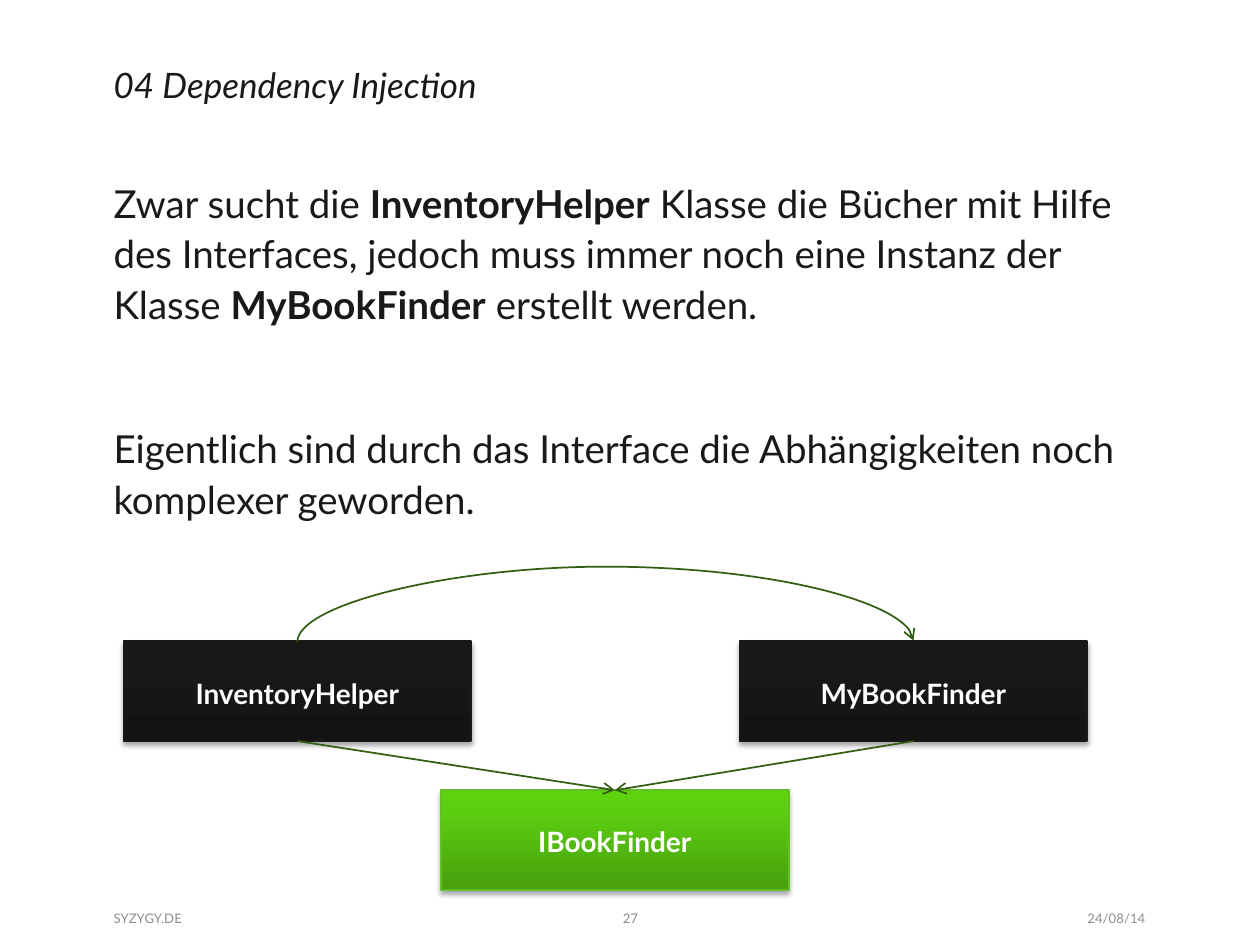
from copy import deepcopy

from lxml import etree
from pptx import Presentation
from pptx import util as u
from pptx.dml.color import RGBColor
from pptx.enum import shapes, text
from pptx.oxml import parse_xml
from pptx.oxml.ns import nsdecls, qn

FONT = "Lato"
COLORS = {
    "ink": "191919", "muted": "8C8C8C", "white": "FFFFFF",
    "arrow": "325F14", "green_line": "64BE28",
}
GRADIENTS = {
    "black": [(0, "131313"), (0.8, "181818"), (1, "181818")],
    "green": [(0, "479F0D"), (0.8, "5DCE11"), (1, "5CD30D")],
}
LEFT, CENTER, RIGHT = text.PP_ALIGN.LEFT, text.PP_ALIGN.CENTER, text.PP_ALIGN.RIGHT
TOP_SITE, BOTTOM_SITE = 0, 2

# Content: a paragraph is a list of (text, bold) runs
TITLE = [[("04 Dependency Injection", False)]]
BODY = [
    [("Zwar sucht die ", False), ("InventoryHelper", True),
     (" Klasse die Bücher mit Hilfe des Interfaces, jedoch muss immer noch "
      "eine Instanz der Klasse ", False),
     ("MyBookFinder", True), (" erstellt werden.", False)],
    [("Eigentlich sind durch das Interface die Abhängigkeiten noch "
      "komplexer geworden.", False)],
]
FOOTER = [  # text, left, width, alignment
    ("SYZYGY.DE", 2.29, 4.24, LEFT),
    ("27", 11.91, 1.6, CENTER),
    ("24/08/14", 19.1, 3.99, RIGHT),
]
BOX_WIDTH, BOX_HEIGHT = 7.01, 2.01
BOXES = [  # name, left, top, gradient, line colour
    ("InventoryHelper", 2.49, 12.93, "black", "ink"),
    ("MyBookFinder", 14.91, 12.93, "black", "ink"),
    ("IBookFinder", 8.89, 15.93, "green", "green_line"),
]
STRAIGHT_ARROWS = [("InventoryHelper", "IBookFinder"), ("MyBookFinder", "IBookFinder")]
ARCH_HEIGHT, ARCH_DEPTH = 1.52, 0.03


def rgb(name):
    return RGBColor.from_string(COLORS[name])


def write(frame, paragraphs, size=22, color="ink", align=LEFT, spacing=1.0,
          gap=0, italic=False, anchor=text.MSO_ANCHOR.TOP):
    frame.word_wrap = True
    frame.vertical_anchor = anchor
    for index, runs in enumerate(paragraphs):
        paragraph = frame.add_paragraph() if index else frame.paragraphs[0]
        paragraph.alignment = align
        paragraph.line_spacing = spacing
        if index:
            paragraph.space_before = u.Pt(gap)
        for words, bold in runs:
            run = paragraph.add_run()
            run.text = words
            run.font.name, run.font.size = FONT, u.Pt(size)
            run.font.bold, run.font.italic = bold, italic
            run.font.color.rgb = rgb(color)


def add_text(slide, paragraphs, left, top, width, height, **style):
    frame = slide.shapes.add_textbox(*map(u.Cm, (left, top, width, height))).text_frame
    frame.margin_left = frame.margin_right = frame.margin_top = frame.margin_bottom = 0
    write(frame, paragraphs, **style)


def fill_gradient(shape, stops):
    shape.fill.gradient()
    shape.fill.gradient_angle = 90
    first = shape.fill.gradient_stops[0]
    stop_list = shape._element.spPr.find(".//" + qn("a:gsLst"))
    stop_list.insert(1, deepcopy(stop_list[0]))
    for stop, (position, color) in zip(shape.fill.gradient_stops, stops):
        stop.position = position
        stop.color.rgb = RGBColor.from_string(color)


def add_box(slide, name, left, top, gradient, line):
    box = slide.shapes.add_shape(shapes.MSO_SHAPE.FLOWCHART_PROCESS,
                                 *map(u.Cm, (left, top, BOX_WIDTH, BOX_HEIGHT)))
    fill_gradient(box, GRADIENTS[gradient])
    box.line.color.rgb, box.line.width = rgb(line), u.Pt(1)
    box._element.spPr.append(parse_xml(
        f'<a:effectLst {nsdecls("a")}><a:outerShdw blurRad="39370" dist="22860" '
        'dir="5400000" rotWithShape="0"><a:srgbClr val="000000">'
        '<a:alpha val="35000"/></a:srgbClr></a:outerShdw></a:effectLst>'))
    write(box.text_frame, [[(name, True)]], size=16, color="white", align=CENTER,
          spacing=1.1, anchor=text.MSO_ANCHOR.MIDDLE)
    return box


def add_arrow(slide, kind, start, start_site, end, end_site):
    arrow = slide.shapes.add_connector(kind, 0, 0, 0, 0)
    arrow.begin_connect(start, start_site)
    arrow.end_connect(end, end_site)
    arrow.line.color.rgb, arrow.line.width = rgb("arrow"), u.Pt(1)
    etree.SubElement(arrow.line._get_or_add_ln(), qn("a:tailEnd"), type="arrow")
    etree.SubElement(arrow._element.spPr, qn("a:effectLst"))
    return arrow


def bend_into_arch(arrow):
    # The connector is a thin upright shape turned by 90 degrees
    span, depth = arrow.width, u.Cm(ARCH_DEPTH)
    center_x, center_y = arrow.left + span // 2, arrow.top
    arrow.left, arrow.top = center_x - depth // 2, center_y - span // 2
    arrow.width, arrow.height = depth, span
    properties = arrow._element.spPr
    for key, value in (("rot", "5400000"), ("flipH", "1"), ("flipV", "1")):
        properties.find(qn("a:xfrm")).set(key, value)
    adjust = properties.find(qn("a:prstGeom")).get_or_add_avLst()
    etree.SubElement(adjust, qn("a:gd"), name="adj1",
                     fmla=f"val {round(ARCH_HEIGHT / ARCH_DEPTH * 100000)}")


def main():
    presentation = Presentation()
    presentation.slide_width, presentation.slide_height = u.Cm(25.4), u.Cm(19.05)
    slide = presentation.slides.add_slide(presentation.slide_layouts[6])

    # Footer, body and title
    for words, left, width, align in FOOTER:
        add_text(slide, [[(words, False)]], left, 18.21, width, 0.61, size=7.5,
                 color="muted", align=align, anchor=text.MSO_ANCHOR.MIDDLE)
    add_text(slide, BODY, 2.29, 3.53, 20.83, 14.2, spacing=1.1, gap=53)
    add_text(slide, TITLE, 2.29, 1.02, 20.83, 1.65, size=20, spacing=1.3, italic=True)

    # Class diagram
    boxes = {box[0]: add_box(slide, *box) for box in BOXES}
    for start, end in STRAIGHT_ARROWS:
        add_arrow(slide, shapes.MSO_CONNECTOR.STRAIGHT,
                  boxes[start], BOTTOM_SITE, boxes[end], TOP_SITE)
    bend_into_arch(add_arrow(slide, shapes.MSO_CONNECTOR.CURVE,
                             boxes["InventoryHelper"], TOP_SITE,
                             boxes["MyBookFinder"], TOP_SITE))

    presentation.save("out.pptx")


if __name__ == "__main__":
    main()
